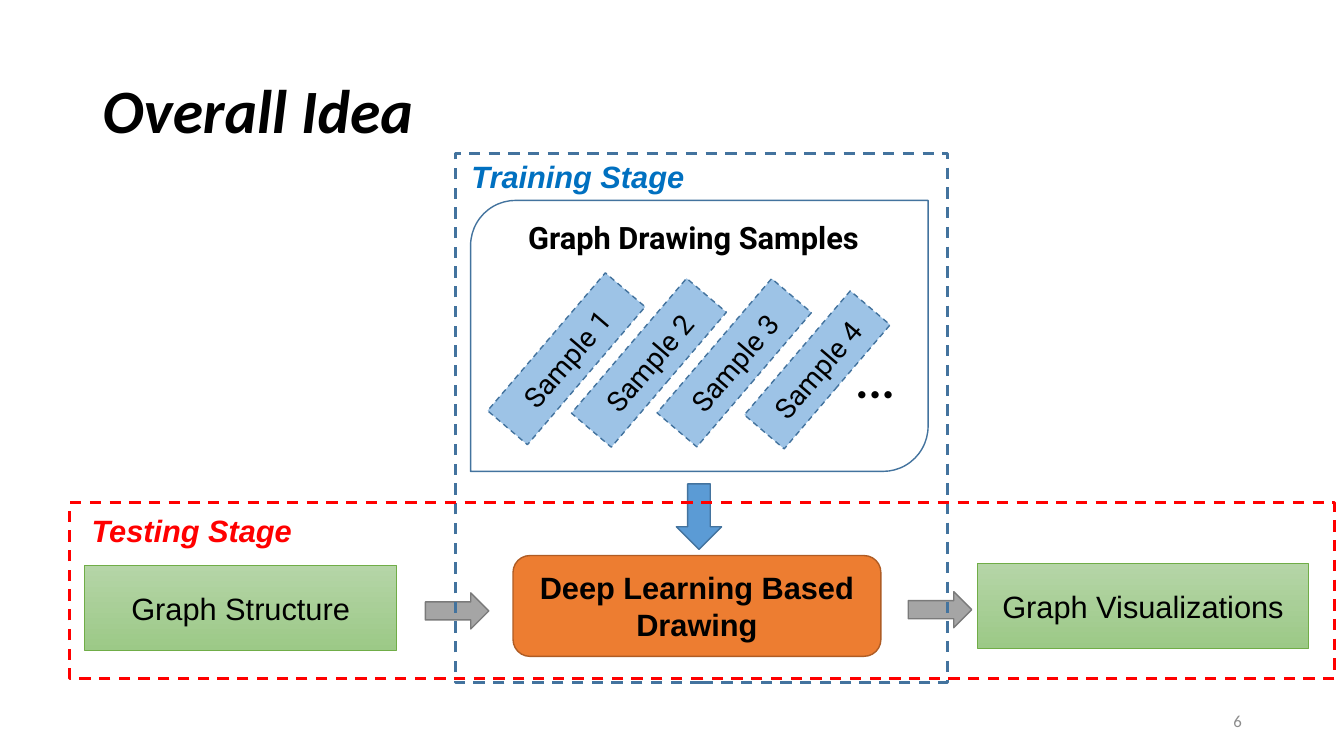
from dataclasses import dataclass
from typing import Optional

import pptx
import pptx.dml.color
import pptx.enum.dml
import pptx.enum.shapes
import pptx.enum.text
import pptx.shapes.autoshape
import pptx.slide
import pptx.util
from pptx.dml.color import RGBColor
from pptx.util import Cm, Pt

BLACK = RGBColor(0x00, 0x00, 0x00)
PAGE_GREY = RGBColor(0x8C, 0x8C, 0x8C)
RED = RGBColor(0xFF, 0x00, 0x00)
LABEL_BLUE = RGBColor(0x00, 0x70, 0xC0)
ARROW_BLUE = RGBColor(0x5B, 0x9B, 0xD5)
SAMPLE_BLUE = RGBColor(0x9D, 0xC3, 0xE6)
OUTLINE_BLUE = RGBColor(0x43, 0x73, 0x9E)
ORANGE = RGBColor(0xED, 0x7D, 0x31)
DARK_ORANGE = RGBColor(0xAF, 0x5C, 0x24)
GREY = RGBColor(0xA5, 0xA5, 0xA5)
DARK_GREY = RGBColor(0x7A, 0x7A, 0x7A)
LIGHT_GREEN = RGBColor(0xB5, 0xD5, 0xA7)
GREEN = RGBColor(0x9C, 0xC9, 0x87)
DARK_GREEN = RGBColor(0x70, 0xAD, 0x47)

Preset = pptx.enum.shapes.MSO_SHAPE
Align = pptx.enum.text.PP_ALIGN
Anchor = pptx.enum.text.MSO_ANCHOR


@dataclass(frozen=True)
class Place:
    left: float
    top: float
    width: float
    height: float

    def lengths(self) -> tuple[pptx.util.Length, ...]:
        return Cm(self.left), Cm(self.top), Cm(self.width), Cm(self.height)


@dataclass(frozen=True)
class Words:
    text: str
    size: float = 22
    font: str = "Arial"
    color: RGBColor = BLACK
    bold: bool = False
    italic: bool = False
    align: Align = Align.LEFT
    anchor: Anchor = Anchor.TOP
    line_spacing: Optional[float] = None


@dataclass(frozen=True)
class Box:
    place: Place
    line: RGBColor
    fill: Optional[RGBColor] = None
    fill_end: Optional[RGBColor] = None
    preset: Preset = Preset.RECTANGLE
    line_width: float = 1
    dashed: bool = False
    rotation: float = 0
    words: Optional[Words] = None


def write(frame: pptx.text.text.TextFrame, words: Words) -> None:
    frame.word_wrap = True
    frame.vertical_anchor = words.anchor
    paragraph = frame.paragraphs[0]
    paragraph.alignment = words.align
    if words.line_spacing:
        paragraph.line_spacing = words.line_spacing
    run = paragraph.add_run()
    run.text = words.text
    run.font.name = words.font
    run.font.size = Pt(words.size)
    run.font.bold = words.bold
    run.font.italic = words.italic
    run.font.color.rgb = words.color


def add_text(slide: pptx.slide.Slide, place: Place, words: Words) -> None:
    write(slide.shapes.add_textbox(*place.lengths()).text_frame, words)


def add_box(slide: pptx.slide.Slide, box: Box) -> pptx.shapes.autoshape.Shape:
    shape = slide.shapes.add_shape(box.preset, *box.place.lengths())
    shape.shadow.inherit = False
    shape.rotation = box.rotation
    if box.fill is None:
        shape.fill.background()
    elif box.fill_end is None:
        shape.fill.solid()
        shape.fill.fore_color.rgb = box.fill
    else:
        shape.fill.gradient()
        shape.fill.gradient_angle = 270
        for stop, color in zip(shape.fill.gradient_stops, (box.fill, box.fill_end)):
            stop.color.rgb = color
    shape.line.color.rgb = box.line
    shape.line.width = Pt(box.line_width)
    if box.dashed:
        shape.line.dash_style = pptx.enum.dml.MSO_LINE.DASH
    if box.words:
        write(shape.text_frame, box.words)
    return shape


def centred(text: str, size: float = 22, font: str = "Arial", bold: bool = False) -> Words:
    return Words(text, size, font, bold=bold, align=Align.CENTER, anchor=Anchor.MIDDLE)


def data_box(place: Place, text: str) -> Box:
    return Box(place, DARK_GREEN, LIGHT_GREEN, GREEN, line_width=0.5, words=centred(text))


def flow_arrow(left: float, top: float) -> Box:
    return Box(Place(left, top, 1.6, 0.91), DARK_GREY, GREY, preset=Preset.RIGHT_ARROW)


def stage_label(text: str, color: RGBColor) -> Words:
    return Words(text, color=color, bold=True, italic=True)


PIPELINE = (
    data_box(Place(2.13, 14.25, 7.87, 2.13), "Graph Structure"),
    Box(Place(12.93, 14, 9.27, 2.54), DARK_ORANGE, ORANGE,
        preset=Preset.ROUNDED_RECTANGLE,
        words=centred("Deep Learning Based Drawing", bold=True)),
    data_box(Place(24.64, 14.2, 8.33, 2.13), "Graph Visualizations"),
    flow_arrow(10.72, 14.94),
    flow_arrow(22.89, 14.91),
)
SAMPLE_PLACES = (
    Place(11.99, 8.38, 4.57, 1.32),
    Place(14.12, 8.48, 4.47, 1.32),
    Place(16.28, 8.48, 4.45, 1.32),
    Place(18.54, 8.66, 4.11, 1.32),
)
SAMPLES_FRAME = Box(Place(11.86, 5.05, 11.53, 6.83), OUTLINE_BLUE,
                    preset=Preset.ROUND_2_DIAG_RECTANGLE)
TRAINING_ARROW = Box(Place(16.79, 12.45, 1.65, 1.14), OUTLINE_BLUE, ARROW_BLUE,
                     preset=Preset.RIGHT_ARROW, rotation=90)
TRAINING_FRAME = Box(Place(11.48, 3.86, 12.4, 13.34), OUTLINE_BLUE,
                     line_width=2, dashed=True)
TESTING_FRAME = Box(Place(1.75, 12.67, 31.88, 4.42), RED, line_width=2, dashed=True)


def main() -> None:
    presentation = pptx.Presentation()
    presentation.slide_width = Cm(33.87)
    presentation.slide_height = Cm(19.05)
    slide = presentation.slides.add_slide(presentation.slide_layouts[6])

    add_text(slide, Place(2.34, 1.02, 29.21, 3.68),
             Words("Overall Idea", 44, "Calibri", bold=True, italic=True,
                   anchor=Anchor.MIDDLE, line_spacing=0.9))
    add_text(slide, Place(23.93, 17.65, 7.62, 1.02),
             Words("6", 12, "Calibri", PAGE_GREY, align=Align.RIGHT, anchor=Anchor.MIDDLE))

    for box in PIPELINE:
        add_box(slide, box)
    for number, place in enumerate(SAMPLE_PLACES, start=1):
        add_box(slide, Box(place, OUTLINE_BLUE, SAMPLE_BLUE, dashed=True, rotation=310.5,
                           words=centred(f"Sample {number}", 20, "Roboto")))
    add_text(slide, Place(21.31, 8.69, 2.49, 1.75), Words("...", 35, "Calibri", bold=True))
    add_box(slide, SAMPLES_FRAME)
    add_text(slide, Place(13.06, 5.38, 9.86, 1.19),
             Words("Graph Drawing Samples", font="Roboto", bold=True))

    add_box(slide, TRAINING_ARROW)
    add_box(slide, TRAINING_FRAME)
    add_text(slide, Place(11.63, 3.84, 6.38, 1.19), stage_label("Training Stage", LABEL_BLUE))
    add_box(slide, TESTING_FRAME)
    add_text(slide, Place(2.06, 12.78, 6.38, 1.19), stage_label("Testing Stage", RED))

    presentation.save("out.pptx")


if __name__ == "__main__":
    main()
